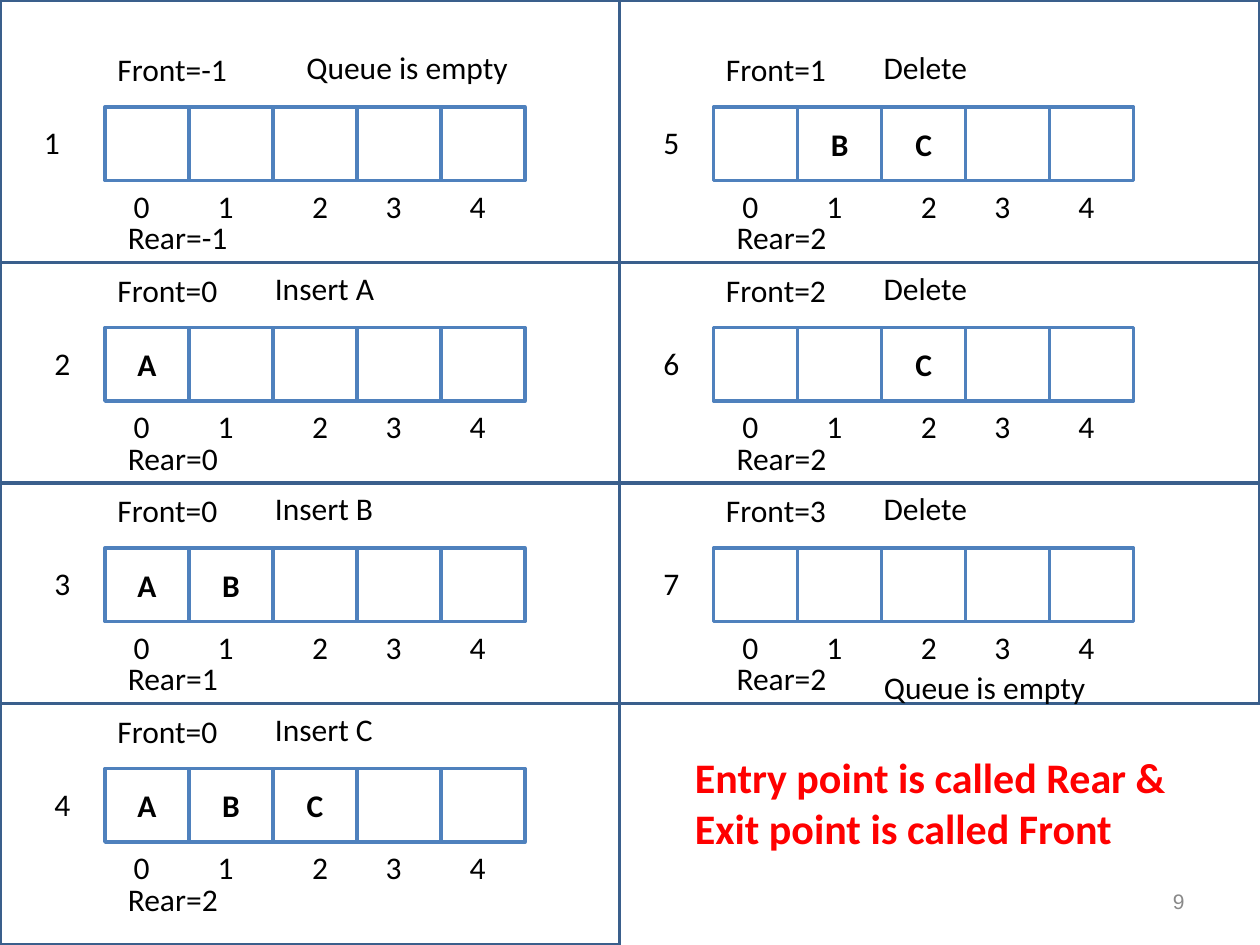
from pptx import Presentation
from pptx.dml.color import RGBColor
from pptx.enum.shapes import MSO_SHAPE as Shape
from pptx.enum.text import MSO_ANCHOR as Anchor, MSO_AUTO_SIZE as AutoSize, PP_ALIGN as Align
from pptx.util import Pt

COLORS = {
    "white": "FFFFFF", "panel": "3A5F8C", "cell": "4F81BD",
    "text": "000000", "rule": "FF0000", "page": "898989",
}

# Column, row, step, step left, front, rear, queue cells, caption, caption left, caption width
STATES = [
    (0, 0, "1", 18, "-1", "-1", "     ", "Queue is empty", 168, 131),
    (0, 1, "2", 24, "0", "0", "A    ", "Insert A", 150, 72),
    (0, 2, "3", 24, "0", "1", "AB   ", "Insert B", 150, 71.3),
    (0, 3, "4", 24, "0", "2", "ABC  ", "Insert C", 150, 71.3),
    (1, 0, "5", 372, "1", "2", " BC  ", "Delete", 497.8, 63.4),
    (1, 1, "6", 372, "2", "2", "  C  ", "Delete", 497.8, 63.4),
    (1, 2, "7", 372, "3", "2", "     ", "Delete", 497.8, 63.4),
]
ENTRY_EXIT = ["Entry point is called Rear &", "Exit point is called Front"]

PANEL_X = [0, 354, 720]
PANEL_Y = [0, 150, 276, 402, 540]
QUEUE_LEFT = [60, 407.8]
FIRST_ROW, ROW_STEP = 24, 126
CELL_W, CELL_H = 48, 42
INDEX_OFFSETS = [0, 48, 102, 144, 192]
LINE_H = 29.1

prs = Presentation()
prs.slide_width, prs.slide_height = Pt(720), Pt(540)
slide = prs.slides.add_slide(prs.slide_layouts[6])


def rgb(name):
    return RGBColor.from_string(COLORS[name])


def write(shape, lines, size=18, color="text", bold=False, font="Calibri",
          align=Align.LEFT, anchor=Anchor.TOP, wrap=True):
    frame = shape.text_frame
    frame.word_wrap = wrap
    frame.vertical_anchor = anchor
    frame.text = "\n".join(lines)
    for paragraph in frame.paragraphs:
        paragraph.alignment = align
        for run in paragraph.runs:
            run.font.name, run.font.size, run.font.bold = font, Pt(size), bold
            run.font.color.rgb = rgb(color)


def add_label(lines, left, top, width, height=LINE_H, grow=True, **text_format):
    label = slide.shapes.add_textbox(Pt(left), Pt(top), Pt(width), Pt(height))
    write(label, lines, **text_format)
    label.text_frame.auto_size = AutoSize.SHAPE_TO_FIT_TEXT if grow else AutoSize.NONE


def add_box(left, top, width, height, line):
    box = slide.shapes.add_shape(Shape.RECTANGLE, Pt(left), Pt(top), Pt(width), Pt(height))
    box.shadow.inherit = False
    box.fill.solid()
    box.fill.fore_color.rgb = rgb("white")
    box.line.color.rgb = rgb(line)
    box.line.width = Pt(2)
    return box


def add_state(column, row, step, step_left, front, rear, cells, caption, caption_left, caption_width):
    """Draw one step: the queue cells with their indexes, pointers and caption."""
    left, top = QUEUE_LEFT[column], FIRST_ROW + row * ROW_STEP
    for index, (item, offset) in enumerate(zip(cells, INDEX_OFFSETS)):
        cell = add_box(left + index * CELL_W, top + 37.2, CELL_W, CELL_H, "cell")
        if item.strip():
            write(cell, [item], bold=True, align=Align.CENTER, anchor=Anchor.MIDDLE)
        add_label([str(index)], left + offset, top + 79.2, 42, 30, align=Align.CENTER)
    add_label([f"Front={front}"], left, top + 1.2, 78)
    add_label([f"Rear={rear}"], left + 6, top + 97.2, 78)
    add_label([step], step_left, top + 43, 23.8, wrap=False)
    add_label([caption], caption_left, top, caption_width, wrap=False)


for column, row, *_ in STATES:
    x, y = PANEL_X[column], PANEL_Y[row]
    add_box(x, y, PANEL_X[column + 1] - x, PANEL_Y[row + 1] - y, "panel")

for state in STATES:
    add_state(*state)

add_label(["Queue is empty"], 498, 378, 131, wrap=False)
add_label(ENTRY_EXIT, 390, 426, 286, 65.4, size=24, color="rule", bold=True, wrap=False)
add_label(["9"], 516, 500.5, 168, 28.8, grow=False, size=12, color="page", font="Arial",
          align=Align.RIGHT, anchor=Anchor.MIDDLE)

prs.save("out.pptx")
